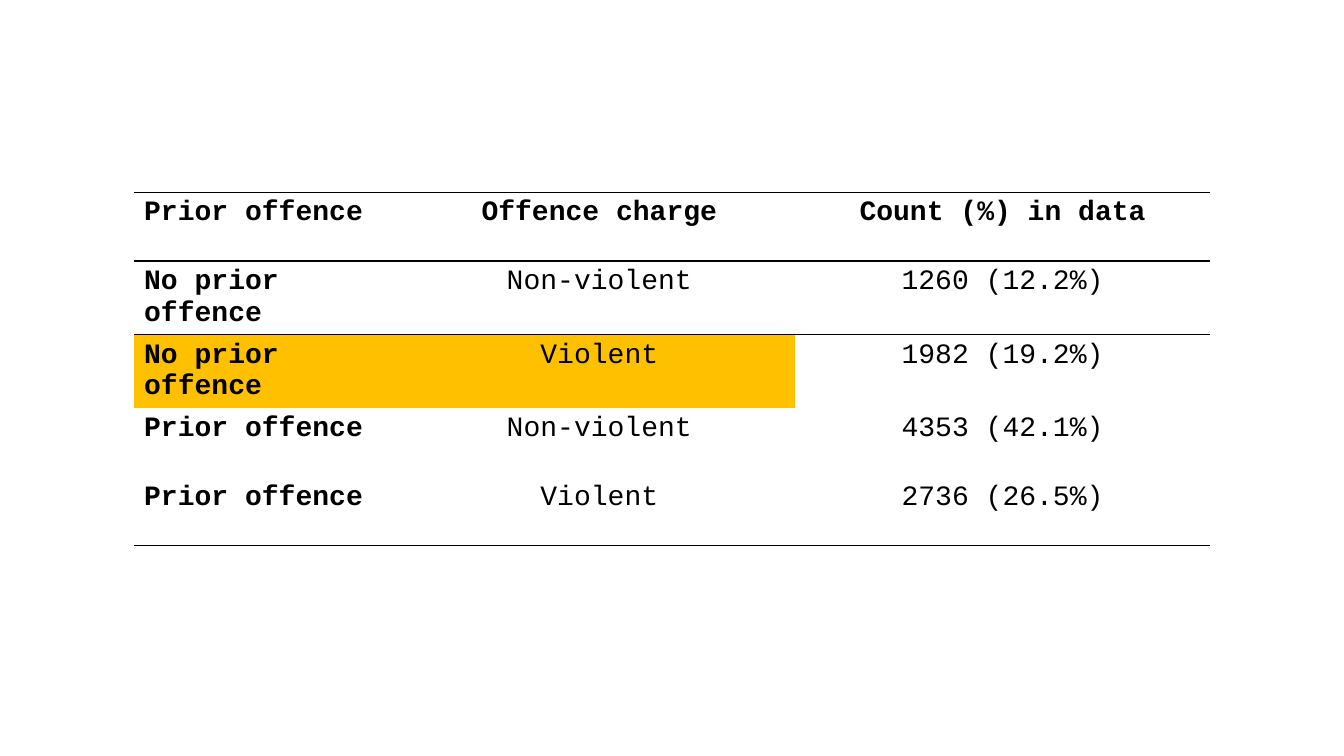
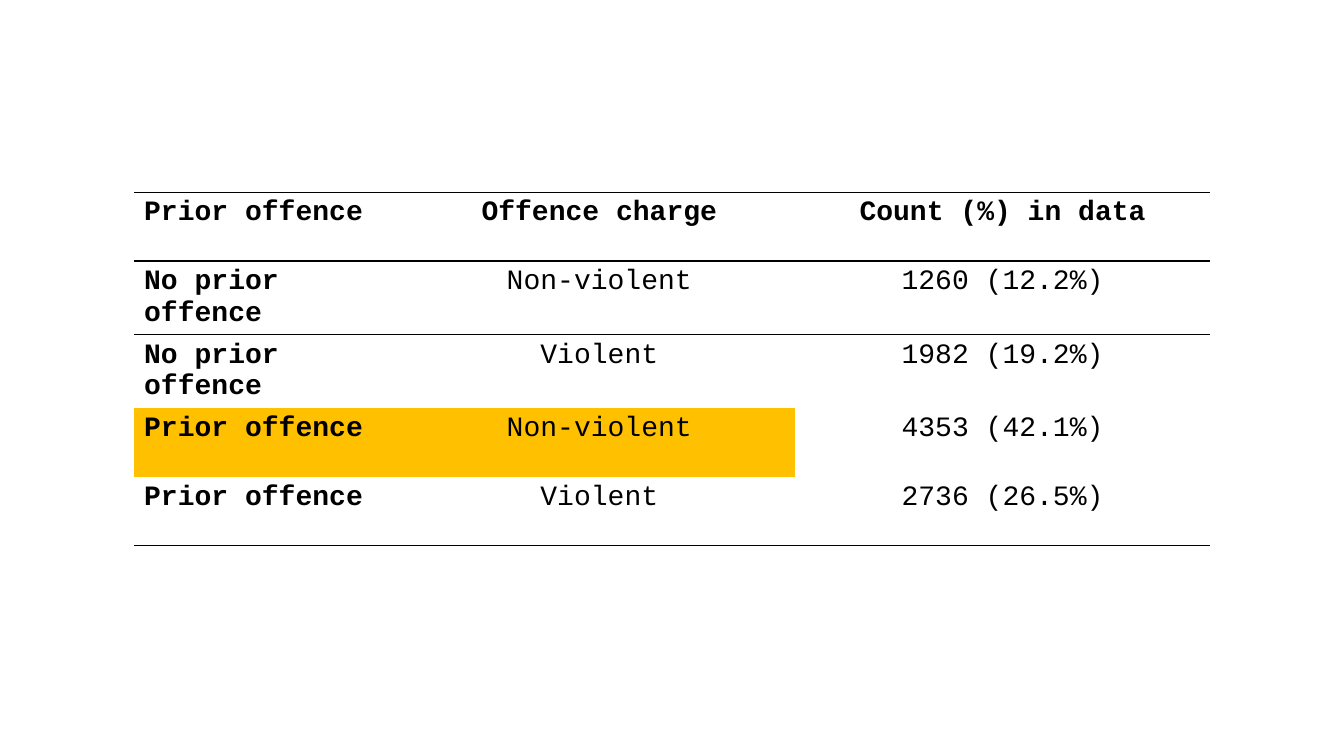
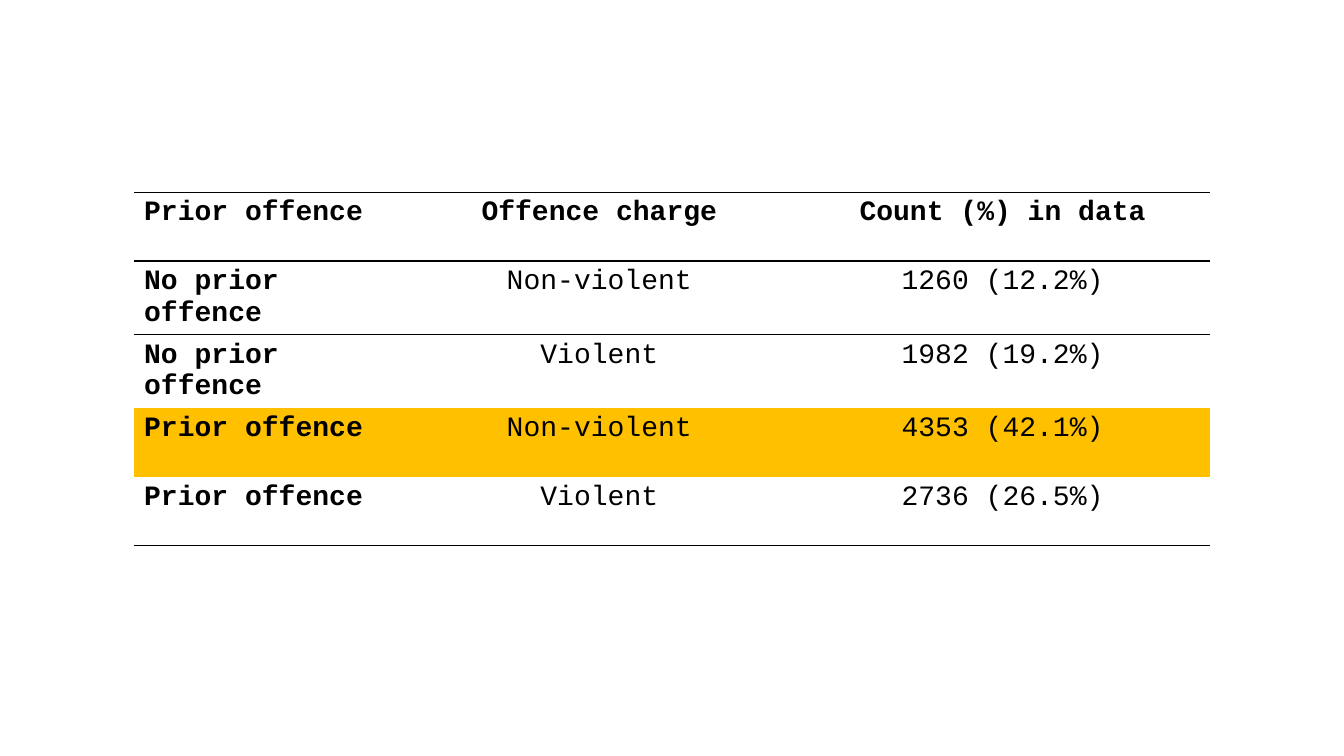
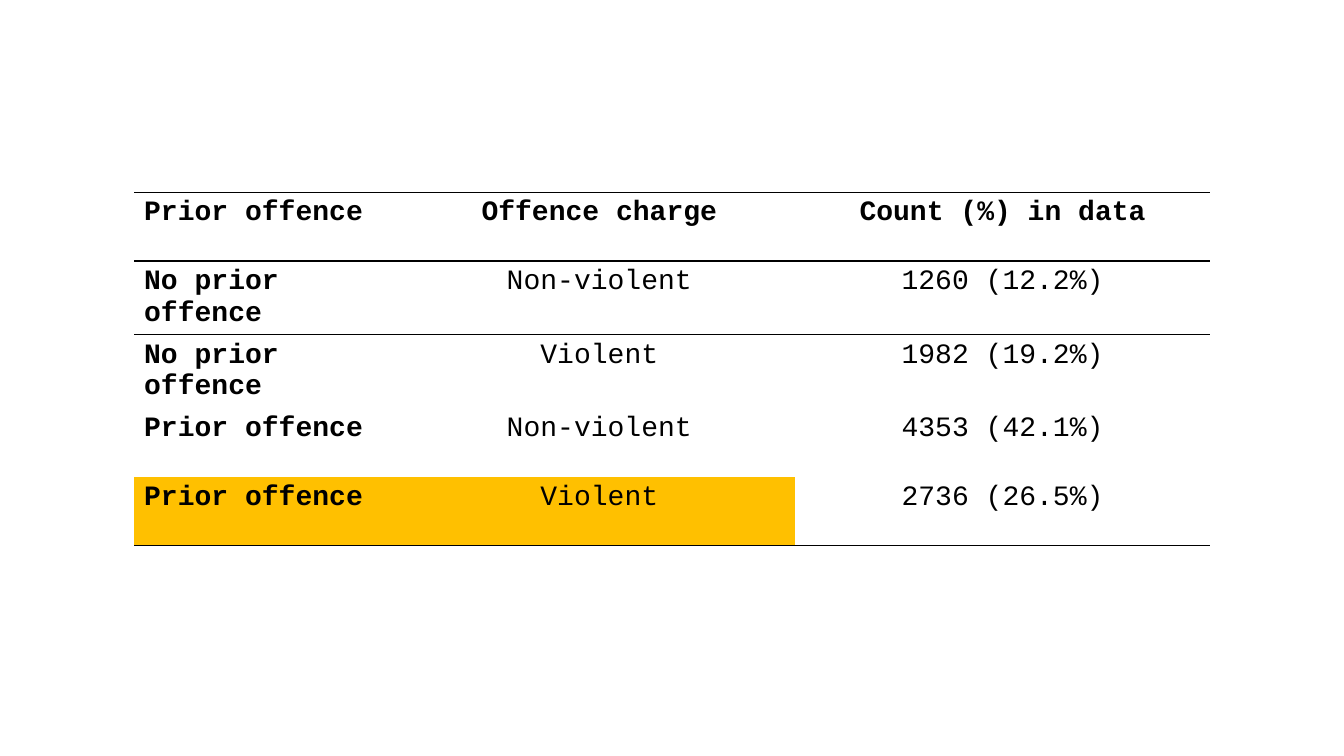
from pptx import Presentation
from pptx.dml.color import RGBColor
from pptx.enum.text import PP_ALIGN
from pptx.oxml import parse_xml
from pptx.oxml.ns import nsdecls, qn
from pptx.util import Inches, Pt

LEFT, CENTER = PP_ALIGN.LEFT, PP_ALIGN.CENTER
FONT, TEXT_SIZE = "Courier New", 20
BLACK, WHITE, AMBER = "000000", "FFFFFF", "FFC000"
RULE_WIDTH = 1
PLAIN_TABLE_STYLE = "{2D5ABB26-0587-4C30-8999-92F81FD0307C}"
BLANK_LAYOUT = 6

TABLE_LEFT, TABLE_TOP = 1.33, 1.91
COLUMN_WIDTHS = (2.67, 3.89, 4.11)
ROW_HEIGHT = 0.68
ROWS = (
    ("Prior offence", "Offence charge", "Count (%) in data"),
    ("No prior offence", "Non-violent", "1260 (12.2%)"),
    ("No prior offence", "Violent", "1982 (19.2%)"),
    ("Prior offence", "Non-violent", "4353 (42.1%)"),
    ("Prior offence", "Violent", "2736 (26.5%)"),
)
RULED_EDGES = {0: ("lnT", "lnB"), 1: ("lnT",), len(ROWS) - 1: ("lnB",)}
HIGHLIGHTS = ((2, 2), (3, 2), (3, 3), (4, 2))


def color(value):
    """Turn a hex string into a colour."""
    return RGBColor.from_string(value)


def rule_cell(cell, edges):
    """Draw a black rule on each named edge of a cell."""
    properties = cell._tc.get_or_add_tcPr()
    for edge in edges:
        properties.append(parse_xml(
            f'<a:{edge} {nsdecls("a")} w="{Pt(RULE_WIDTH)}"><a:solidFill>'
            f'<a:srgbClr val="{BLACK}"/></a:solidFill></a:{edge}>'))


def fill_cell(cell, text, background, bold, alignment):
    """Write the text of a cell and set its look."""
    cell.fill.solid()
    cell.fill.fore_color.rgb = color(background)
    cell.text_frame.text = text
    paragraph = cell.text_frame.paragraphs[0]
    paragraph.alignment = alignment
    font = paragraph.runs[0].font
    font.name, font.size, font.bold = FONT, Pt(TEXT_SIZE), bold
    font.color.rgb = color(BLACK)


def add_offence_table(page, left, top, marked_row, marked_columns):
    """Place the offence table with the first cells of one row highlighted."""
    frame = page.shapes.add_table(
        len(ROWS), len(COLUMN_WIDTHS), Inches(left), Inches(top),
        Inches(sum(COLUMN_WIDTHS)), Inches(ROW_HEIGHT * len(ROWS)))
    table = frame.table
    table.horz_banding = False
    table._tbl.tblPr.find(qn("a:tableStyleId")).text = PLAIN_TABLE_STYLE
    for column, width in zip(table.columns, COLUMN_WIDTHS):
        column.width = Inches(width)
    for row_index, texts in enumerate(ROWS):
        table.rows[row_index].height = Inches(ROW_HEIGHT)
        for column_index, text in enumerate(texts):
            cell = table.cell(row_index, column_index)
            marked = row_index == marked_row and column_index < marked_columns
            rule_cell(cell, RULED_EDGES.get(row_index, ()))
            fill_cell(cell, text, AMBER if marked else WHITE,
                      row_index == 0 or column_index == 0,
                      CENTER if column_index else LEFT)


def main():
    """Build one slide for each highlight and save the deck."""
    deck = Presentation()
    deck.slide_width, deck.slide_height = Inches(13.33), Inches(7.5)
    for marked_row, marked_columns in HIGHLIGHTS:
        page = deck.slides.add_slide(deck.slide_layouts[BLANK_LAYOUT])
        add_offence_table(page, TABLE_LEFT, TABLE_TOP, marked_row, marked_columns)
    deck.save("out.pptx")


if __name__ == "__main__":
    main()
